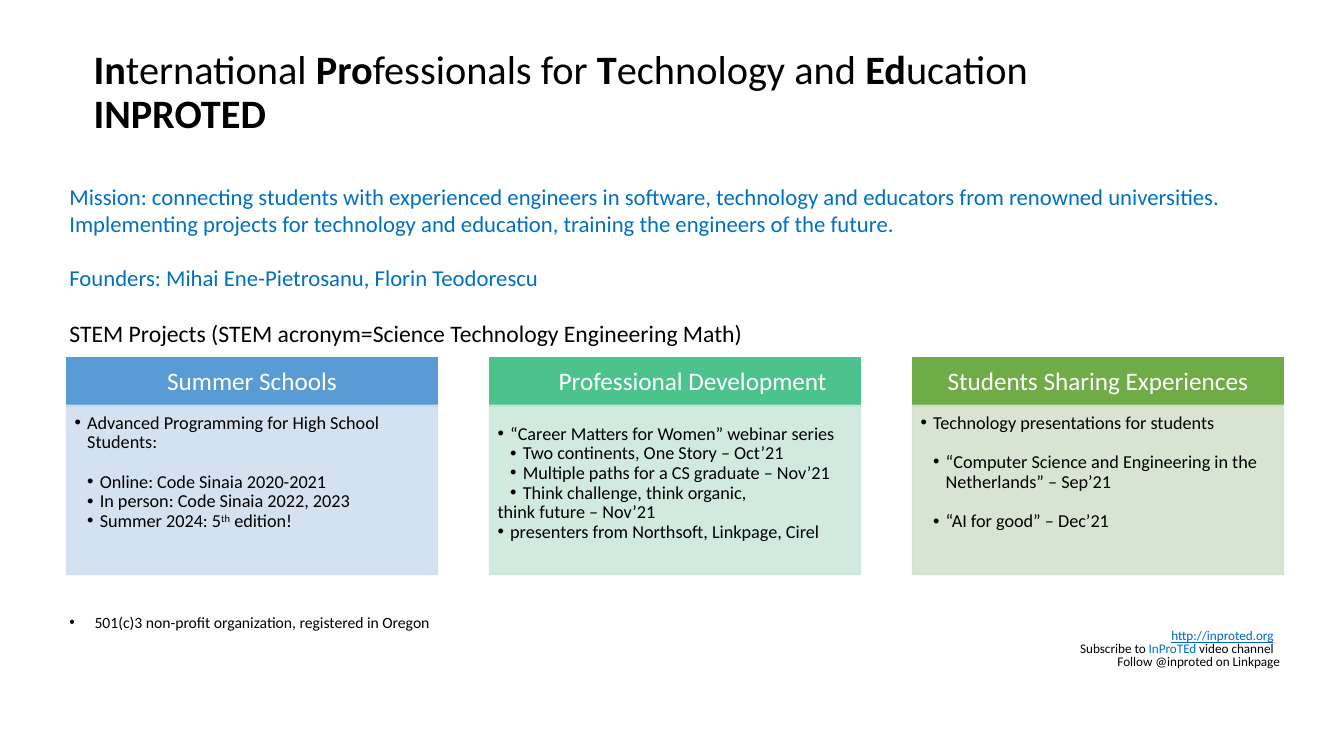
from pptx import Presentation
from pptx.dml.color import RGBColor
from pptx.enum.shapes import MSO_SHAPE
from pptx.enum.text import MSO_ANCHOR, PP_ALIGN
from pptx.oxml.ns import qn
from pptx.util import Inches, Pt
from lxml import etree

RECTANGLE = MSO_SHAPE.RECTANGLE
TOP, MIDDLE = MSO_ANCHOR.TOP, MSO_ANCHOR.MIDDLE
LEFT, CENTER, RIGHT = PP_ALIGN.LEFT, PP_ALIGN.CENTER, PP_ALIGN.RIGHT

BLACK = RGBColor(0x00, 0x00, 0x00)
WHITE = RGBColor(0xFF, 0xFF, 0xFF)
BLUE = RGBColor(0x00, 0x70, 0xC0)
LINK_BLUE = RGBColor(0x05, 0x63, 0xC1)

BOLD = {"bold": True}
BLANK_LINE = 14.2
CARD_LEFT, CARD_STEP, CARD_WIDTH = 0.66, 4.195, 3.68
HEADER_TOP, HEADER_HEIGHT = 3.55, 0.48
PANEL_TOP, PANEL_HEIGHT = 4.02, 1.68

CARDS = [
    {
        "title": "Summer Schools",
        "header": RGBColor(0x59, 0x9B, 0xD5),
        "panel": RGBColor(0xCF, 0xDE, 0xEF),
        "lines": [
            (1, 0, ["Advanced Programming for High School Students:"]),
            (2, BLANK_LINE, ["Online: Code Sinaia 2020-2021"]),
            (2, 0, ["In person: Code Sinaia 2022, 2023"]),
            (2, 0, ["Summer 2024: 5", ("th", {"raised": True}), " edition!"]),
        ],
    },
    {
        "title": "Professional Development",
        "header": RGBColor(0x4C, 0xC3, 0x8C),
        "panel": RGBColor(0xCC, 0xE8, 0xDD),
        "title_shift": 0.35,
        "text_drop": 0.11,
        "lines": [
            (1, 0, ["“Career Matters for Women” webinar series"]),
            (2, 0, ["Two continents, One Story – Oct’21"]),
            (2, 0, ["Multiple paths for a CS graduate – Nov’21"]),
            (2, 0, ["Think challenge, think organic,"]),
            (0, 0, ["think future – Nov’21"]),
            (1, 0, ["presenters from Northsoft, Linkpage, Cirel"]),
        ],
    },
    {
        "title": "Students Sharing Experiences",
        "header": RGBColor(0x6F, 0xAB, 0x46),
        "panel": RGBColor(0xD3, 0xE1, 0xCC),
        "lines": [
            (1, 0, ["Technology presentations for students"]),
            (2, BLANK_LINE, ["“Computer Science and Engineering in the Netherlands” – Sep’21"]),
            (2, BLANK_LINE, ["“AI for good” – Dec’21"]),
        ],
    },
]


def set_frame(frame, margins=(0.1, 0.05, 0.1, 0.05), anchor=TOP):
    frame.word_wrap = True
    frame.vertical_anchor = anchor
    for side, margin in zip(("left", "top", "right", "bottom"), margins):
        setattr(frame, f"margin_{side}", Inches(margin))
    return frame


def add_box(page, left, top, width, height, **frame_format):
    box = page.shapes.add_textbox(Inches(left), Inches(top), Inches(width), Inches(height))
    return set_frame(box.text_frame, **frame_format)


def add_rectangle(page, left, top, width, height, color, alpha=100):
    shape = page.shapes.add_shape(
        RECTANGLE, Inches(left), Inches(top), Inches(width), Inches(height))
    shape.shadow.inherit = False
    shape.fill.solid()
    shape.fill.fore_color.rgb = color
    shape.line.color.rgb = color
    shape.line.width = Pt(1)
    if alpha < 100:
        for tint in shape._element.spPr.iter(qn("a:srgbClr")):
            etree.SubElement(tint, qn("a:alpha"), val=str(alpha * 1000))
    return shape.text_frame


def set_bullet(para, indent, hanging):
    properties = para._p.get_or_add_pPr()
    properties.set("marL", str(Inches(indent)))
    properties.set("indent", str(-Inches(hanging)))
    etree.SubElement(properties, qn("a:buFont"), typeface="Arial")
    etree.SubElement(properties, qn("a:buChar"), char="•")


def add_span(para, text, size, color, bold=False, underline=False, raised=False):
    span = para.add_run()
    span.text = text
    values = {"name": "Calibri", "size": Pt(size), "bold": bold, "underline": underline}
    for name, value in values.items():
        setattr(span.font, name, value)
    span.font.color.rgb = color
    if raised:
        span.font._element.set("baseline", "30000")


def add_para(frame, spans, size, color=BLACK, align=LEFT, spacing=1.0, before=0, bullet=None):
    para = frame.paragraphs[0]
    if para.runs:
        para = frame.add_paragraph()
    values = {"alignment": align, "line_spacing": spacing,
              "space_before": Pt(before), "space_after": Pt(0)}
    for name, value in values.items():
        setattr(para, name, value)
    if bullet:
        set_bullet(para, *bullet)
    for span in spans:
        text, changes = (span, {}) if isinstance(span, str) else span
        add_span(para, text, size, **{"color": color, **changes})
    return para


def add_title(page):
    frame = add_box(page, 0.83, 0.2, 11.5, 1.45, anchor=MIDDLE)
    para = add_para(frame, [
        ("In", BOLD), "ternational ", ("Pro", BOLD), "fessionals for ",
        ("T", BOLD), "echnology and ", ("Ed", BOLD), "ucation",
    ], 28.8, spacing=0.9)
    para.add_line_break()
    add_span(para, "INPROTED", 28.8, BLACK, bold=True)


def add_mission(page):
    frame = add_box(page, 0.59, 1.76, 12.2, 1.75)
    add_para(frame, [
        "Mission: connecting students with experienced engineers in software, "
        "technology and educators from renowned universities. Implementing projects "
        "for technology and education, training the engineers of the future."
    ], 16.2, BLUE)
    add_para(frame, ["Founders: Mihai Ene-Pietrosanu, Florin Teodorescu"],
             16.2, BLUE, before=19.5)
    add_para(frame, ["STEM Projects (STEM acronym=Science Technology Engineering Math)"],
             16.9, before=19.5)


def add_card(page, left, card):
    header = add_rectangle(page, left, HEADER_TOP, CARD_WIDTH, HEADER_HEIGHT, card["header"])
    set_frame(header, (0.14 + card.get("title_shift", 0), 0.08, 0.14, 0.08), MIDDLE)
    add_para(header, [card["title"]], 18, WHITE, CENTER, 0.9)

    panel = add_rectangle(page, left, PANEL_TOP, CARD_WIDTH, PANEL_HEIGHT, card["panel"], 89)
    set_frame(panel, (0.08, 0.08 + card.get("text_drop", 0), 0.1, 0.11))
    for level, before, spans in card["lines"]:
        bullet = (0.125 * level, 0.125) if level else None
        add_para(panel, spans, 13, spacing=0.9, before=before, bullet=bullet)


def add_footer(page):
    status = add_box(page, 0.59, 6.03, 6, 0.3)
    add_para(status, ["501(c)3 non-profit organization, registered in Oregon"],
             11.2, bullet=(0.25, 0.25))

    links = add_box(page, 9.79, 6.21, 3, 0.36, margins=(0.1, 0.05, 0.16, 0.05))
    web_address = ("http://inproted.org", {"color": LINK_BLUE, "underline": True})
    channel = ["Subscribe to ", ("InProTEd", {"color": BLUE}), " video channel"]
    for spans in ([web_address], channel):
        add_para(links, spans, 9.4, align=RIGHT, spacing=0.8)

    follow = add_box(page, 9.79, 6.46, 3, 0.24)
    add_para(follow, ["Follow @inproted on Linkpage"], 9.4, align=RIGHT, spacing=0.8)


def main():
    deck = Presentation()
    deck.slide_width = Inches(13.33)
    deck.slide_height = Inches(7.5)
    page = deck.slides.add_slide(deck.slide_layouts[6])
    add_title(page)
    add_mission(page)
    for index, card in enumerate(CARDS):
        add_card(page, CARD_LEFT + index * CARD_STEP, card)
    add_footer(page)
    deck.save("out.pptx")


if __name__ == "__main__":
    main()
